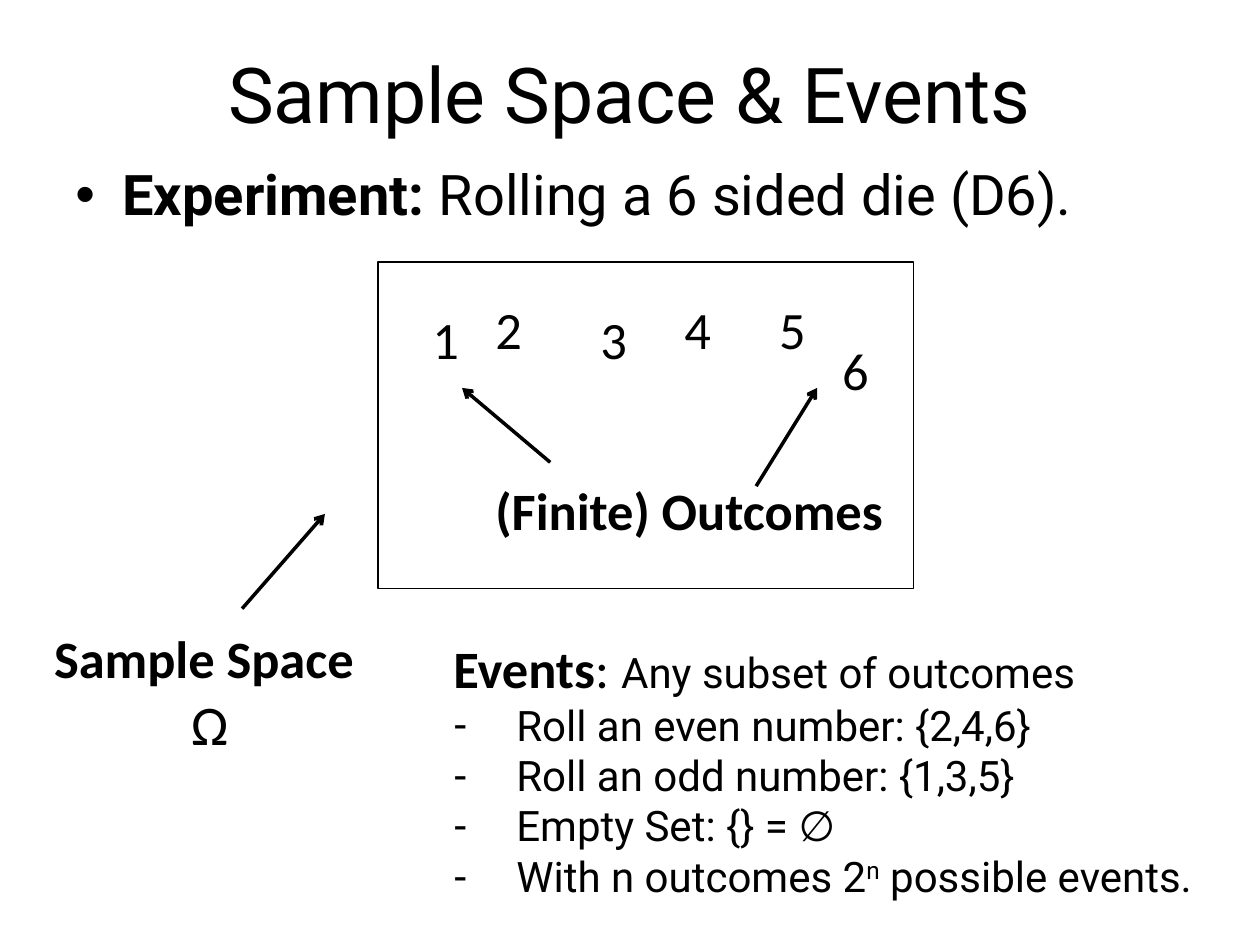
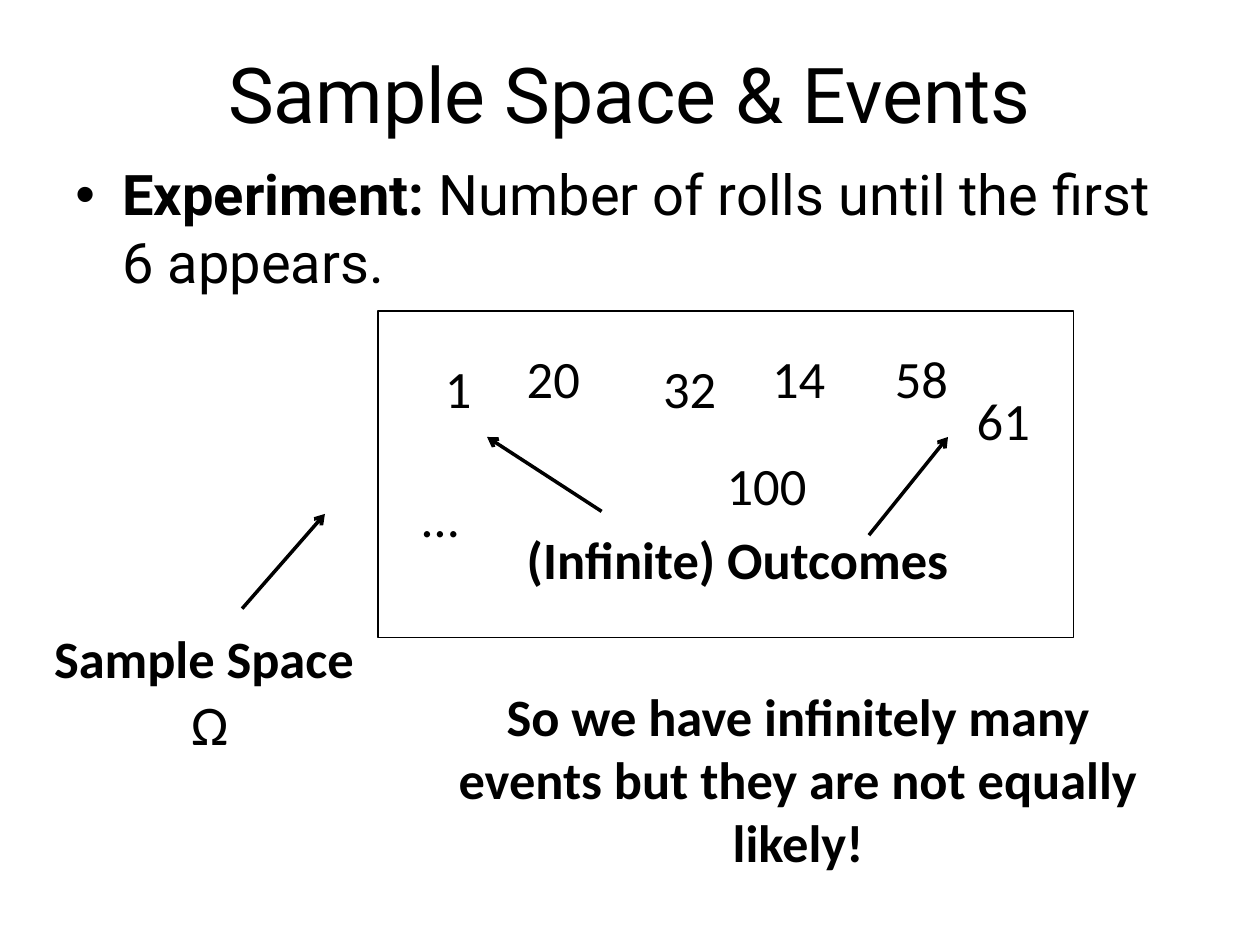
from lxml.etree import SubElement
from pptx import Presentation
from pptx.dml.color import RGBColor
from pptx.enum.shapes import MSO_CONNECTOR, MSO_SHAPE
from pptx.enum.text import MSO_ANCHOR, MSO_AUTO_SIZE, PP_ALIGN
from pptx.oxml.ns import qn
from pptx.util import Cm, Pt

BLACK = "000000"
HEADING = {"name": "Roboto", "size": Pt(44)}
STATEMENT = {"name": "Roboto", "size": Pt(32)}
STRONG_STATEMENT = {**STATEMENT, "bold": True}
DETAIL = {"name": "Roboto", "size": Pt(24)}
NUMBER = {"name": "Calibri", "size": Pt(30)}
LABEL = {**NUMBER, "bold": True}
SYMBOL = {"name": "Calibri", "size": Pt(32)}

TITLE_BOX = (1.27, 0.76, 22.86, 2.21)
EXPERIMENT_BOX = (1.27, 3.1, 22.86, 12.57)
SAMPLE_SPACE_BOX = (0.84, 10.36, 6.78, 5.04)
OUTCOME_COLUMNS = 51
OUTCOME_SPOTS = [(4, 0.79), (10, 0.58), (20, 0.79), (28, 0.58), (37, 0.58), (43, 1.42)]
OUTCOME_ARROWS = [((36, 4.52), (41.8, 2.54)), ((16.4, 4.04), (8, 2.54))]


def color(hex_value):
    """Turn a hex string into a colour."""
    return RGBColor.from_string(hex_value)


def add_text(slide, box, wrap=True, grow=True, anchor=MSO_ANCHOR.TOP):
    """Add an empty text box and return its frame."""
    frame = slide.shapes.add_textbox(*map(Cm, box)).text_frame
    settings = {
        "word_wrap": wrap,
        "vertical_anchor": anchor,
        "auto_size": MSO_AUTO_SIZE.SHAPE_TO_FIT_TEXT if grow else MSO_AUTO_SIZE.NONE,
    }
    for key, value in settings.items():
        setattr(frame, key, value)
    return frame


def write(paragraph, *pieces, align=PP_ALIGN.LEFT):
    """Fill a paragraph with (text, format) pieces and return its runs."""
    paragraph.alignment = align
    runs = []
    for text, style in pieces:
        run = paragraph.add_run()
        run.text = text
        run.font.color.rgb = color(BLACK)
        for key, value in style.items():
            setattr(run.font, key, value)
        runs.append(run)
    return runs


def add_bullet(paragraph, mark, indent):
    """Give a paragraph a bullet with a hanging indent."""
    properties = paragraph._p.get_or_add_pPr()
    properties.set("marL", str(Cm(indent)))
    properties.set("indent", str(-Cm(indent)))
    SubElement(properties, qn("a:buFont"), typeface="Arial")
    SubElement(properties, qn("a:buChar"), char=mark)


def add_arrow(slide, start, end):
    """Draw a black arrow from start to end."""
    arrow = slide.shapes.add_connector(MSO_CONNECTOR.STRAIGHT, *map(Cm, (*start, *end)))
    arrow.line.color.rgb = color(BLACK)
    arrow.line.width = Pt(2)
    SubElement(arrow.line._get_or_add_ln(), qn("a:tailEnd"), type="arrow")
    SubElement(arrow._element.spPr, qn("a:effectLst"))


def add_title(slide, box):
    """Place the centred slide title."""
    frame = add_text(slide, box, grow=False, anchor=MSO_ANCHOR.MIDDLE)
    write(frame.paragraphs[0], ("Sample Space & Events", HEADING), align=PP_ALIGN.CENTER)


def add_experiment(slide, box, description):
    """Place the bulleted description of the experiment."""
    paragraph = add_text(slide, box, grow=False).paragraphs[0]
    write(paragraph, ("Experiment: ", STRONG_STATEMENT), (description, STATEMENT))
    paragraph.space_before = Pt(6.4)
    add_bullet(paragraph, "•", 0.95)


def add_sample_space(slide, box):
    """Place the sample space label under its arrow."""
    left, top, width, height = box
    frame = add_text(slide, (left, top + 2.14, width, height - 2.14))
    write(frame.paragraphs[0], ("Sample Space", LABEL))
    write(frame.add_paragraph(), ("Ω", SYMBOL), align=PP_ALIGN.CENTER)
    add_arrow(slide, (left + 4.04, top + 1.91), (left + 5.71, top))


def add_number(slide, left, top, number):
    """Place one outcome in a box as wide as its digits need."""
    frame = add_text(slide, (left, top, 0.53 * (len(number) + 1), 1.55), wrap=False)
    write(frame.paragraphs[0], (number, NUMBER))


def add_outcomes(slide, box, caption, caption_width, numbers):
    """Draw the frame of outcomes, its caption, arrows and numbers."""
    left, top, width, _ = box

    def spot(column, drop):
        """Locate a point on the column grid of the frame."""
        return left + column * width / OUTCOME_COLUMNS, top + drop

    frame = slide.shapes.add_shape(MSO_SHAPE.RECTANGLE, *map(Cm, box))
    frame.shadow.inherit = False
    frame.fill.background()
    frame.line.color.rgb = color(BLACK)
    frame.line.width = Pt(0.75)
    label = add_text(slide, (*spot(10, 4.24), caption_width, 1.55), wrap=False)
    write(label.paragraphs[0], (caption, LABEL))
    for start, end in OUTCOME_ARROWS:
        add_arrow(slide, spot(*start), spot(*end))
    for place, number in zip(OUTCOME_SPOTS, numbers):
        add_number(slide, *spot(*place), number)


def add_events(slide, box):
    """Place the definition of events with its examples."""
    frame = add_text(slide, box, wrap=False)
    write(frame.paragraphs[0], ("Events", LABEL), (": ", NUMBER),
          ("Any subset of outcomes", DETAIL))
    examples = [
        ["Roll an even number: {2,4,6}"],
        ["Roll an odd number: {1,3,5}"],
        ["Empty Set: {} = ∅"],
        ["With n outcomes 2", "n", " possible events."],
    ]
    for example in examples:
        paragraph = frame.add_paragraph()
        runs = write(paragraph, *[(text, DETAIL) for text in example])
        add_bullet(paragraph, "-", 1.27)
    runs[1].font._element.set("baseline", "30000")


def add_conclusion(slide, box):
    """Place the closing remark on infinite events."""
    remark = "So we have infinitely many events but they are not equally likely!"
    write(add_text(slide, box).paragraphs[0], (remark, LABEL), align=PP_ALIGN.CENTER)


def add_experiment_slide(deck, description):
    """Add a slide with the parts that both experiments share."""
    slide = deck.slides.add_slide(deck.slide_layouts[6])
    add_title(slide, TITLE_BOX)
    add_experiment(slide, EXPERIMENT_BOX, description)
    add_sample_space(slide, SAMPLE_SPACE_BOX)
    return slide


def add_finite_slide(deck):
    """Build the slide on rolling one die."""
    slide = add_experiment_slide(deck, "Rolling a 6 sided die (D6).")
    add_events(slide, (8.89, 12.7, 15.62, 5.64))
    add_outcomes(slide, (7.62, 5.28, 10.8, 6.58), "(Finite) Outcomes", 8.43, "123456")


def add_infinite_slide(deck):
    """Build the slide on rolling until a six."""
    slide = add_experiment_slide(deck, "Number of rolls until the first 6 appears.")
    add_conclusion(slide, (8.89, 13.67, 14.4, 4.11))
    left, top, width, height = 7.62, 6.27, 14.02, 6.58
    add_outcomes(slide, (left, top, width, height), "(Infinite) Outcomes", 11.86,
                 ["1", "20", "32", "14", "58", "61"])
    add_number(slide, left + 6.78, top + 2.74, "100")
    add_number(slide, left + 0.64, top + 3.38, "…")


def main():
    """Build and save the deck."""
    deck = Presentation()
    deck.slide_width, deck.slide_height = Cm(25.4), Cm(19.05)
    add_finite_slide(deck)
    add_infinite_slide(deck)
    deck.save("out.pptx")


main()
